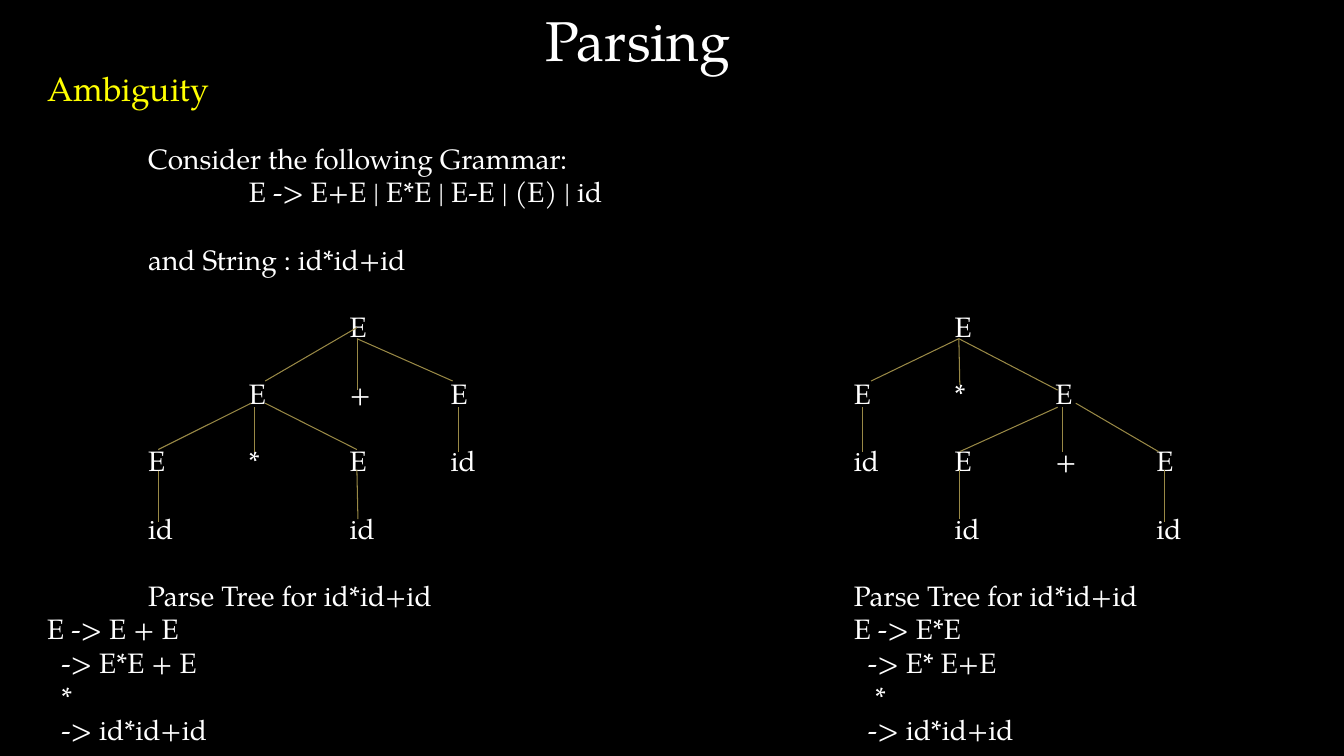
from dataclasses import dataclass

from lxml.etree import SubElement
from pptx import Presentation
from pptx.dml.color import RGBColor
from pptx.enum.shapes import MSO_CONNECTOR
from pptx.enum.text import MSO_ANCHOR, MSO_AUTO_SIZE, PP_ALIGN
from pptx.oxml.ns import qn
from pptx.slide import Slide
from pptx.text.text import TextFrame, _Paragraph
from pptx.util import Inches, Pt


@dataclass(frozen=True)
class Theme:
    font: str = "TeX Gyre Pagella"
    background: RGBColor = RGBColor(0, 0, 0)
    text: RGBColor = RGBColor(0xFF, 0xFF, 0xFF)
    heading: RGBColor = RGBColor(0xFF, 0xFF, 0)
    branch: RGBColor = RGBColor(0x99, 0x89, 0x46)
    title_size: int = 40
    heading_size: int = 24
    text_size: int = 20
    row_gap: int = 24
    branch_width: float = 0.75


@dataclass(frozen=True)
class Row:
    cells: dict[float, str]
    spaced: bool = False


@dataclass(frozen=True)
class Branch:
    x1: float
    y1: float
    x2: float
    y2: float


THEME = Theme()
STEP = 0.14
RIGHT = 8

ROWS = [
    Row({1: "Consider the following Grammar:"}, spaced=True),
    Row({2: "E -> E+E | E*E | E-E | (E) | id"}),
    Row({1: "and String : id*id+id"}, spaced=True),
    Row({3: "E", 9: "E"}, spaced=True),
    Row({2: "E", 3: "+", 4: "E", 8: "E", 9: "*", 10: "E"}, spaced=True),
    Row({1: "E", 2: "*", 3: "E", 4: "id", 8: "id", 9: "E", 10: "+", 11: "E"}, spaced=True),
    Row({1: "id", 3: "id", 9: "id", 11: "id"}, spaced=True),
    Row({1: "Parse Tree for id*id+id", RIGHT: "Parse Tree for id*id+id"}, spaced=True),
    Row({0: "E -> E + E", RIGHT: "E -> E*E"}),
    Row({STEP: "-> E*E + E", RIGHT + STEP: "-> E* E+E"}),
    Row({STEP: "*", RIGHT + 1.5 * STEP: "*"}),
    Row({STEP: "-> id*id+id", RIGHT + STEP: "-> id*id+id"}),
]

SUM_TREE = [
    Branch(2.63, 3.78, 3.54, 3.25),
    Branch(3.55, 3.36, 3.55, 3.87),
    Branch(3.54, 3.36, 4.49, 3.78),
    Branch(2.49, 4, 1.57, 4.46),
    Branch(2.52, 4.04, 2.52, 4.48),
    Branch(2.63, 4, 3.54, 4.46),
    Branch(4.55, 4.04, 4.55, 4.48),
    Branch(3.54, 4.66, 3.55, 5.15),
    Branch(1.57, 4.67, 1.57, 5.18),
]
PRODUCT_TREE = [
    Branch(9.51, 3.36, 8.64, 3.78),
    Branch(9.51, 3.36, 9.52, 3.82),
    Branch(9.51, 3.36, 10.49, 3.87),
    Branch(8.55, 4.04, 8.55, 4.48),
    Branch(10.49, 4.04, 9.52, 4.48),
    Branch(10.67, 4, 11.49, 4.48),
    Branch(10.54, 4.04, 10.54, 4.48),
    Branch(9.52, 4.66, 9.52, 5.15),
    Branch(11.55, 4.66, 11.55, 5.18),
]


def set_up(frame: TextFrame) -> _Paragraph:
    frame.word_wrap = True
    frame.auto_size = MSO_AUTO_SIZE.NONE
    frame.vertical_anchor = MSO_ANCHOR.TOP
    return frame.paragraphs[0]


def add_text(paragraph: _Paragraph, text: str, size: int, color: RGBColor) -> None:
    run = paragraph.add_run()
    run.text = text
    run.font.name = THEME.font
    run.font.size = Pt(size)
    run.font.color.rgb = color


def add_row(frame: TextFrame, row: Row) -> None:
    paragraph = frame.add_paragraph()
    tabs = SubElement(paragraph._p.get_or_add_pPr(), qn("a:tabLst"))
    for column in filter(None, row.cells):
        SubElement(tabs, qn("a:tab"), pos=str(Inches(column)), algn="l")
    paragraph.alignment = PP_ALIGN.JUSTIFY
    if row.spaced:
        paragraph.space_before = Pt(THEME.row_gap)
    for column, text in row.cells.items():
        add_text(paragraph, f"\t{text}" if column else text, THEME.text_size, THEME.text)


def add_branch(slide: Slide, branch: Branch) -> None:
    connector = slide.shapes.add_connector(
        MSO_CONNECTOR.STRAIGHT, Inches(branch.x1), Inches(branch.y1),
        Inches(branch.x2), Inches(branch.y2))
    connector.line.color.rgb = THEME.branch
    connector.line.width = Pt(THEME.branch_width)
    SubElement(connector._element.spPr, qn("a:effectLst"))


def main() -> None:
    presentation = Presentation()
    presentation.slide_width, presentation.slide_height = Inches(13.33), Inches(7.5)
    slide = presentation.slides.add_slide(presentation.slide_layouts[5])
    slide.background.fill.solid()
    slide.background.fill.fore_color.rgb = THEME.background

    title = slide.shapes.title
    title.left, title.top = Inches(5.31), Inches(0)
    title.width, title.height = Inches(2.16), Inches(0.77)
    topic = set_up(title.text_frame)
    topic.alignment = PP_ALIGN.LEFT
    add_text(topic, "Parsing", THEME.title_size, THEME.text)

    derivation = slide.shapes.add_textbox(
        Inches(0.37), Inches(0.62), Inches(12.75), Inches(6.9)).text_frame
    heading = set_up(derivation)
    heading.alignment = PP_ALIGN.JUSTIFY
    add_text(heading, "Ambiguity", THEME.heading_size, THEME.heading)
    for row in ROWS:
        add_row(derivation, row)

    for branch in SUM_TREE + PRODUCT_TREE:
        add_branch(slide, branch)

    presentation.save("out.pptx")


if __name__ == "__main__":
    main()
